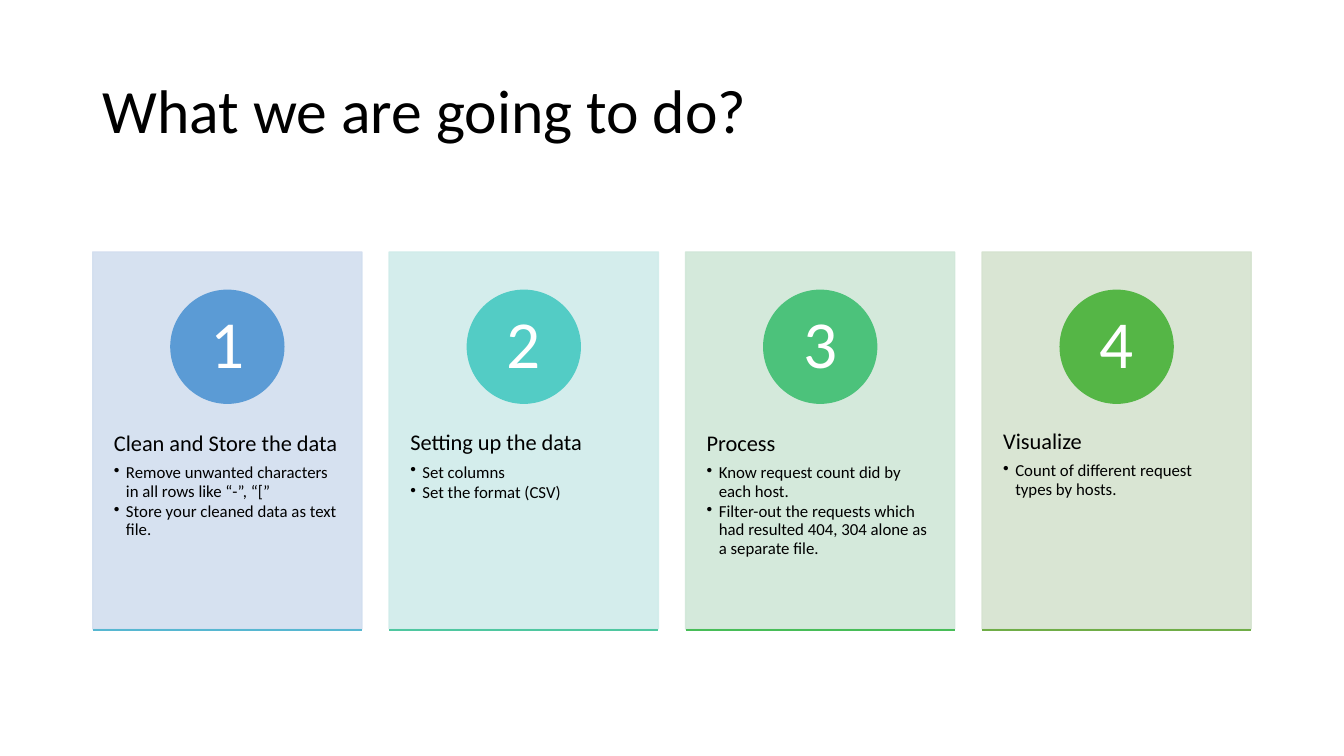
from dataclasses import dataclass

from lxml import etree
from pptx import Presentation
from pptx.dml.color import RGBColor
from pptx.enum.shapes import MSO_CONNECTOR, MSO_SHAPE
from pptx.enum.text import MSO_ANCHOR, PP_ALIGN
from pptx.oxml.ns import qn
from pptx.util import Inches, Pt

RECTANGLE, OVAL = MSO_SHAPE.RECTANGLE, MSO_SHAPE.OVAL
STRAIGHT = MSO_CONNECTOR.STRAIGHT
TOP, MIDDLE = MSO_ANCHOR.TOP, MSO_ANCHOR.MIDDLE
LEFT, CENTER = PP_ALIGN.LEFT, PP_ALIGN.CENTER

FONT = "Calibri"
COLORS = {
    "text": "000000", "number": "FFFFFF",
    "card1": "D2DEEF", "circle1": "5B9BD5", "rule1": "57B7D1",
    "card2": "D0ECEA", "circle2": "53CCC5", "rule2": "4FC7A0",
    "card3": "D0E7D8", "circle3": "4CC27B", "rule3": "48BD58",
    "card4": "D5E3CF", "circle4": "55B646", "rule4": "70AD47",
}
CARD_LEFT, CARD_TOP, CARD_STEP = 0.92, 2.5, 2.94
CARD_WIDTH, CARD_HEIGHT = 2.67, 3.74
CIRCLE_SIZE, CIRCLE_TOP = 1.12, 2.88
BODY_TOP, BODY_HEIGHT = 3.93, 2.25
RULE_TOP = 6.25
CARD_OPACITY = 90


@dataclass(frozen=True)
class Step:
    """One numbered card with its heading and bullets."""
    number: int
    heading: str
    bullets: tuple[str, ...]


STEPS = (
    Step(1, "Clean and Store the data", (
        "Remove unwanted characters in all rows like “-”, “[”",
        "Store your cleaned data as text file.")),
    Step(2, "Setting up the data", ("Set columns", "Set the format (CSV)")),
    Step(3, "Process", (
        "Know request count did by each host.",
        "Filter-out the requests which had resulted 404, 304 alone as a separate file.")),
    Step(4, "Visualize", ("Count of different request types by hosts.",)),
)


def set_frame(frame, anchor, horizontal: float, vertical: float) -> None:
    """Set wrapping, anchor and margins of a text frame."""
    frame.word_wrap = True
    frame.vertical_anchor = anchor
    frame.margin_left = frame.margin_right = Inches(horizontal)
    frame.margin_top = frame.margin_bottom = Inches(vertical)


def write(paragraph, text: str, size: float, color: str = "text",
          align=LEFT, after: float = 0) -> None:
    """Write one styled run into a paragraph."""
    paragraph.alignment = align
    paragraph.line_spacing = 0.9
    paragraph.space_after = Pt(after)
    run = paragraph.add_run()
    run.text = text
    run.font.name = FONT
    run.font.size = Pt(size)
    run.font.color.rgb = RGBColor.from_string(COLORS[color])


def add_bullet(paragraph) -> None:
    """Give a paragraph a hanging bullet."""
    properties = paragraph._p.get_or_add_pPr()
    indent = Inches(0.12)
    properties.set("marL", str(indent))
    properties.set("indent", str(-indent))
    etree.SubElement(properties, qn("a:buChar")).set("char", "•")


def add_filled(slide, kind, left: float, top: float, width: float,
               height: float, color: str, opacity: int = 100):
    """Add a preset shape whose fill and line share one colour."""
    shape = slide.shapes.add_shape(
        kind, Inches(left), Inches(top), Inches(width), Inches(height))
    shape.shadow.inherit = False
    shape.fill.solid()
    shape.line.width = Pt(1)
    shape.line.fill.solid()
    for fill in (shape.fill, shape.line.fill):
        fill.fore_color.rgb = RGBColor.from_string(COLORS[color])
    if opacity < 100:
        for element in shape._element.spPr.iter(qn("a:srgbClr")):
            etree.SubElement(element, qn("a:alpha")).set("val", str(opacity * 1000))
    return shape


def add_rule(slide, left: float, color: str) -> None:
    """Add the line along the bottom of a card."""
    rule = slide.shapes.add_connector(
        STRAIGHT, Inches(left), Inches(RULE_TOP),
        Inches(left + CARD_WIDTH), Inches(RULE_TOP))
    rule.line.width = Pt(1)
    rule.line.color.rgb = RGBColor.from_string(COLORS[color])
    etree.SubElement(rule._element.spPr, qn("a:effectLst"))


def add_title(slide, text: str) -> None:
    """Add the slide title."""
    title = slide.shapes.add_textbox(
        Inches(0.92), Inches(0.4), Inches(11.5), Inches(1.45))
    set_frame(title.text_frame, MIDDLE, 0.1, 0.05)
    write(title.text_frame.paragraphs[0], text, 44)


def add_step(slide, step: Step) -> None:
    """Draw the card, text, numbered circle and rule of a step."""
    left = CARD_LEFT + (step.number - 1) * CARD_STEP
    add_filled(slide, RECTANGLE, left, CARD_TOP, CARD_WIDTH, CARD_HEIGHT,
               f"card{step.number}", CARD_OPACITY)

    body = slide.shapes.add_textbox(
        Inches(left), Inches(BODY_TOP), Inches(CARD_WIDTH), Inches(BODY_HEIGHT))
    frame = body.text_frame
    set_frame(frame, TOP, 0.21, 0.36)
    write(frame.paragraphs[0], step.heading, 16, after=5.6)
    for text in step.bullets:
        paragraph = frame.add_paragraph()
        write(paragraph, text, 12, after=1.8)
        add_bullet(paragraph)

    circle = add_filled(
        slide, OVAL, left + (CARD_WIDTH - CIRCLE_SIZE) / 2, CIRCLE_TOP,
        CIRCLE_SIZE, CIRCLE_SIZE, f"circle{step.number}")
    set_frame(circle.text_frame, MIDDLE, 0, 0)
    write(circle.text_frame.paragraphs[0], str(step.number), 48, "number", CENTER)

    add_rule(slide, left, f"rule{step.number}")


def main() -> None:
    """Build and save the presentation."""
    presentation = Presentation()
    presentation.slide_width = Inches(13.33)
    presentation.slide_height = Inches(7.5)
    slide = presentation.slides.add_slide(presentation.slide_layouts[6])
    add_title(slide, "What we are going to do?")
    for step in STEPS:
        add_step(slide, step)
    presentation.save("out.pptx")


main()
